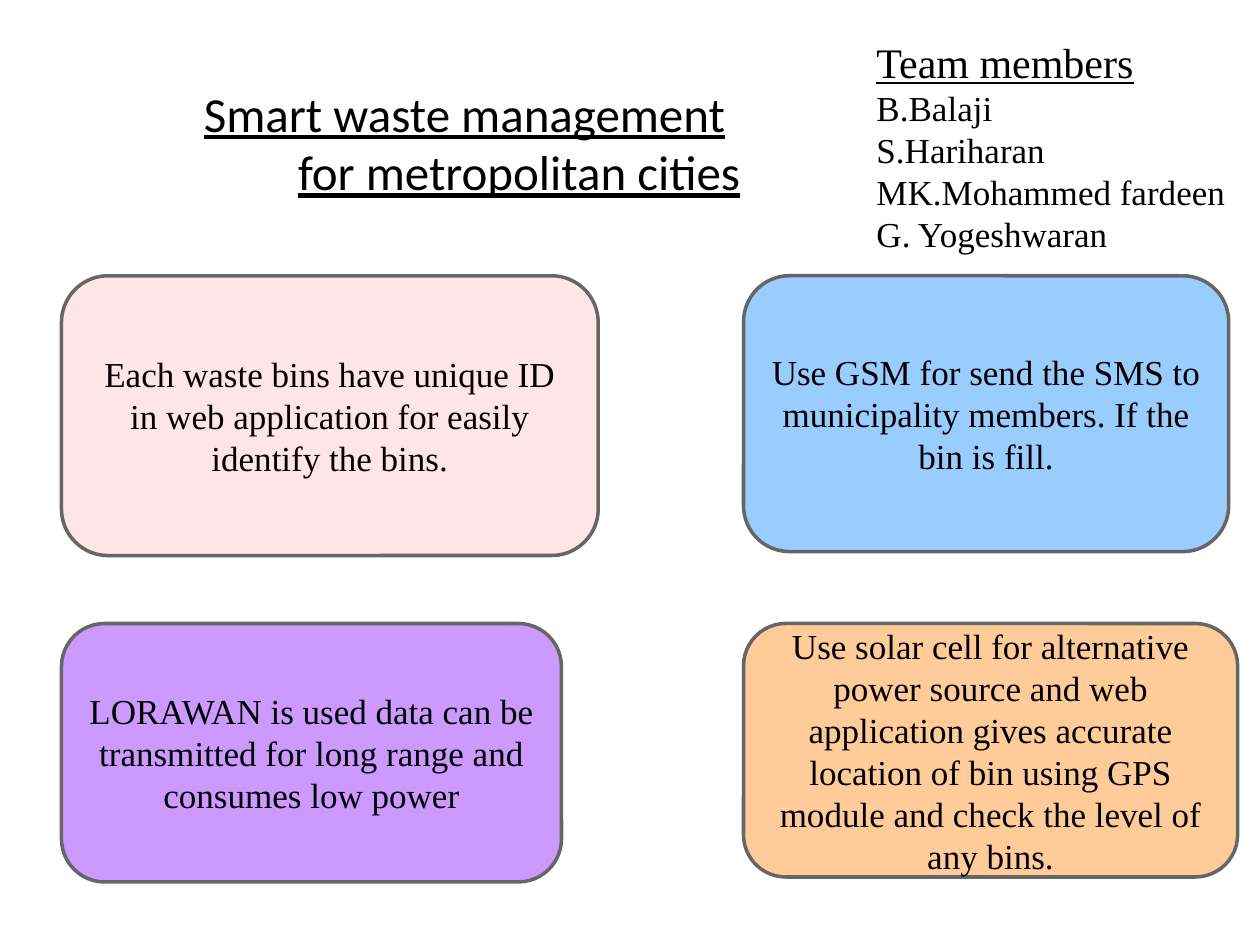
from pptx import Presentation
from pptx.dml.color import RGBColor
from pptx.enum.shapes import MSO_SHAPE
from pptx.enum.text import MSO_ANCHOR, PP_ALIGN
from pptx.util import Cm, Pt

ROUNDED = MSO_SHAPE.ROUNDED_RECTANGLE
MIDDLE = MSO_ANCHOR.MIDDLE
CENTER = PP_ALIGN.CENTER
LEFT = PP_ALIGN.LEFT
SERIF = "Times New Roman"
SANS = "Calibri"

COLUMNS = (1.24, 14.99)
ROWS = (5.56, 12.57)
CARDS = (
    (0, 0, 10.82, 5.64, "FFE5E5",
     "Each waste bins have unique ID in web application for easily identify the bins."),
    (1, 0, 9.78, 5.56, "99CCFF",
     "Use GSM for send the SMS to municipality members. If the bin is fill."),
    (0, 1, 10.08, 5.21, "CC99FF",
     "LORAWAN is used data can be transmitted for long range and consumes low power"),
    (1, 1, 9.96, 5.11, "FFCC99",
     "Use solar cell for alternative power source and web application gives accurate "
     "location of bin using GPS module and check the level of any bins."),
)
MEMBERS = ("B.Balaji", "S.Hariharan", "MK.Mohammed fardeen", "G. Yogeshwaran")


def color(value):
    return RGBColor.from_string(value)


def add_span(para, text, size, font=SERIF, underline=False):
    span = para.add_run()
    span.text = text
    span.font.size = Pt(size)
    span.font.name = font
    span.font.underline = underline
    span.font.color.rgb = color("000000")


def add_text_box(page, box):
    frame = page.shapes.add_textbox(*map(Cm, box)).text_frame
    frame.word_wrap = True
    return frame


def add_title(page, box):
    para = add_text_box(page, box).paragraphs[0]
    para.alignment = LEFT
    properties = para._p.get_or_add_pPr()
    properties.set("marL", str(Cm(1.95)))
    properties.set("indent", str(Cm(-1.9)))
    add_span(para, "Smart waste management", 28, SANS, True)
    para.add_line_break()
    add_span(para, "for metropolitan cities", 28, SANS, True)


def add_team(page, box):
    frame = add_text_box(page, box)
    add_span(frame.paragraphs[0], "Team members", 24, underline=True)
    for member in MEMBERS:
        add_span(frame.add_paragraph(), member, 20)


def add_card(page, box, fill, text):
    card = page.shapes.add_shape(ROUNDED, *map(Cm, box))
    card.shadow.inherit = False
    card.fill.solid()
    card.fill.fore_color.rgb = color(fill)
    card.line.color.rgb = color("666666")
    card.line.width = Pt(2)
    frame = card.text_frame
    frame.word_wrap = True
    frame.vertical_anchor = MIDDLE
    para = frame.paragraphs[0]
    para.alignment = CENTER
    add_span(para, text, 20)


def main():
    deck = Presentation()
    deck.slide_width = Cm(25.4)
    deck.slide_height = Cm(19.05)
    page = deck.slides.add_slide(deck.slide_layouts[6])
    for column, row, width, height, fill, text in CARDS:
        add_card(page, (COLUMNS[column], ROWS[row], width, height), fill, text)
    add_title(page, (3.81, 1.55, 12.67, 2.59))
    add_team(page, (17.42, 0.61, 7.98, 4.45))
    deck.save("out.pptx")


if __name__ == "__main__":
    main()
